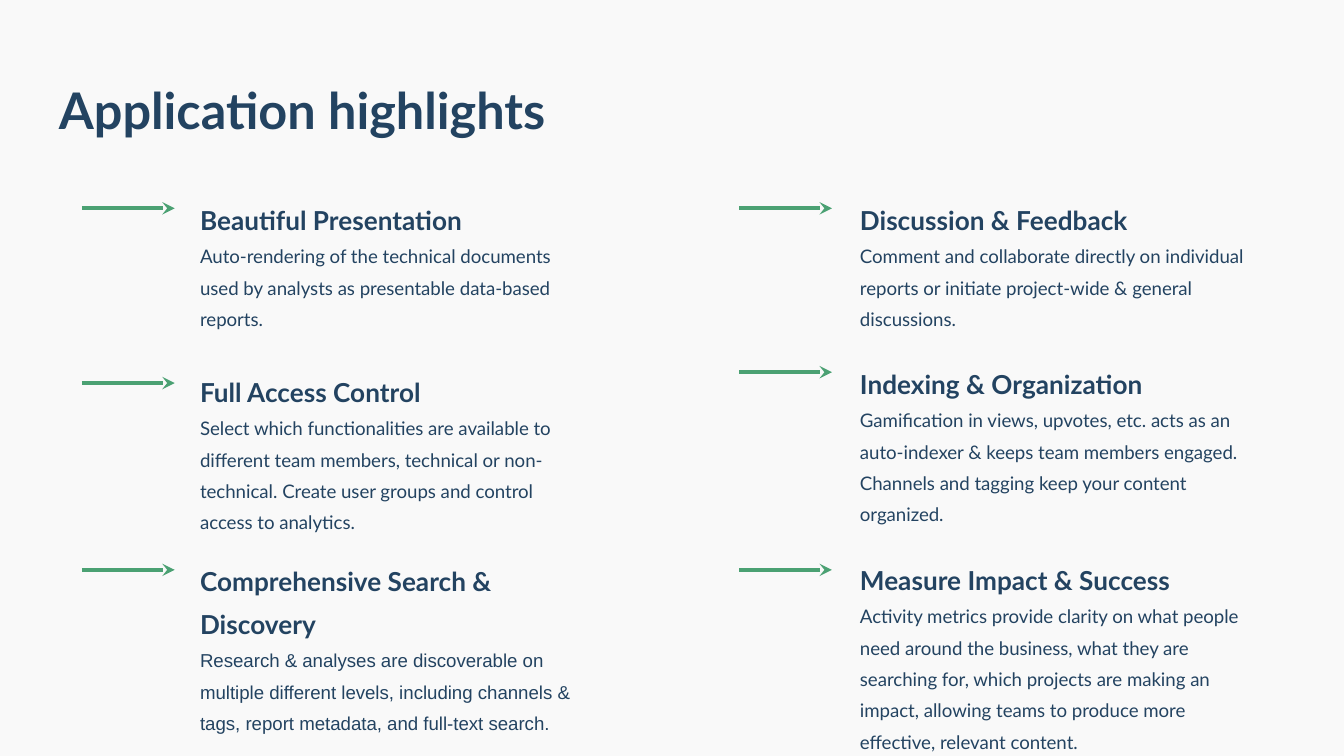
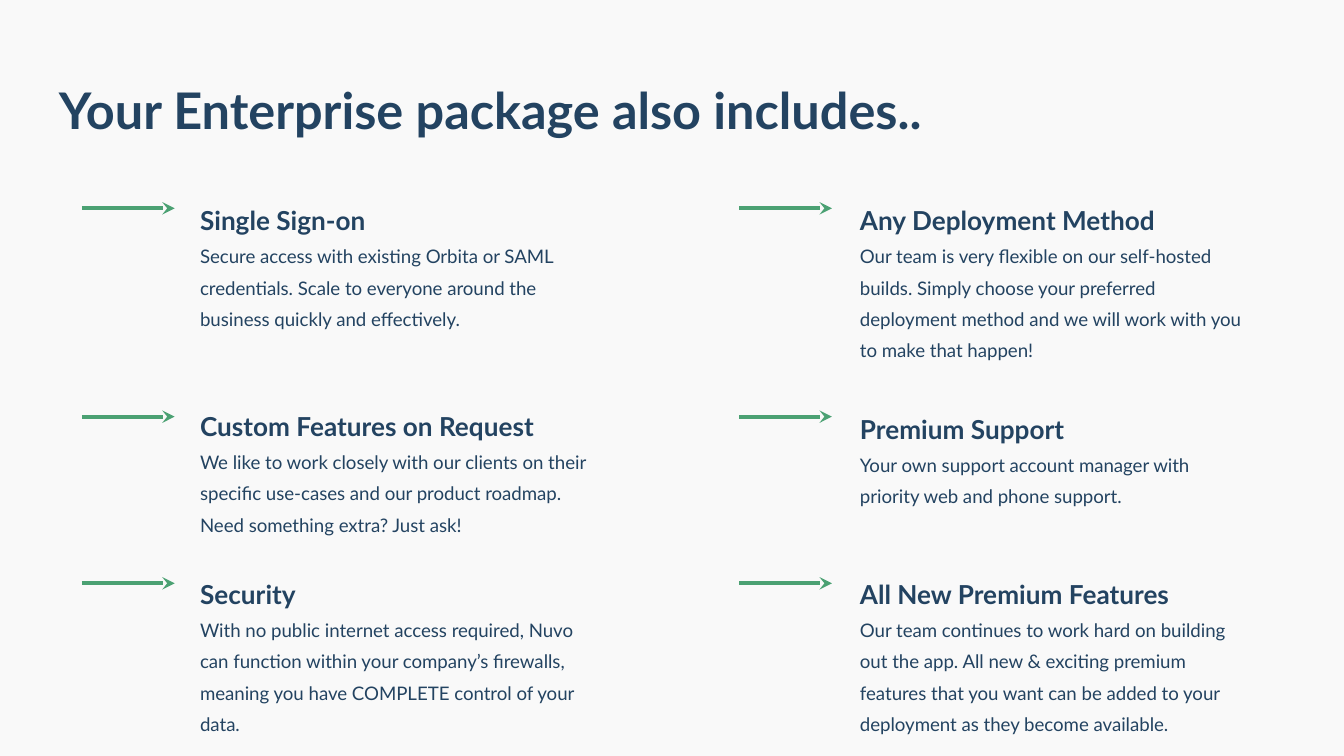
import copy
from dataclasses import dataclass

import lxml.etree
import pptx
import pptx.dml.color
import pptx.enum.shapes
import pptx.enum.text
import pptx.oxml.ns
import pptx.presentation
import pptx.shapes.autoshape
import pptx.slide
import pptx.text.text
import pptx.util

Pt = pptx.util.Pt
qn = pptx.oxml.ns.qn

COLORS = {"background": "F9F9F9", "ink": "234361", "arrow": "4BA173"}
FONT = "Lato"
INSET = 7.2
ARROW_LENGTH = 49.7
TEXT_WIDTH = 222.5
NEW_PARAGRAPH, LINE_BREAK = "\n", "\v"


@dataclass(frozen=True)
class Column:
    arrow_left: float
    text_left: float


LEFT = Column(43.9, 100.1)
RIGHT = Column(396, 453.6)


@dataclass(frozen=True)
class Feature:
    column: Column
    arrow_y: float
    top: float
    height: float
    heading: str
    body: str
    separator: str = NEW_PARAGRAPH
    body_font: str = FONT


@dataclass(frozen=True)
class FeaturePage:
    title: str
    features: tuple[Feature, ...]


PAGES = (
    FeaturePage("Application highlights", (
        Feature(LEFT, 111.6, 95.8, 93.6, "Beautiful Presentation",
                "Auto-rendering of the technical documents used by analysts as "
                "presentable data-based reports.", LINE_BREAK),
        Feature(LEFT, 205.2, 187.9, 97.2, "Full Access Control",
                "Select which functionalities are available to different team members, "
                "technical or non-technical. Create user groups and control access to "
                "analytics."),
        Feature(LEFT, 305.3, 288.7, 97.2, "Comprehensive Search & Discovery",
                "Research & analyses are discoverable on multiple different levels, "
                "including channels & tags, report metadata, and full-text search.",
                body_font="Arial"),
        Feature(RIGHT, 111.6, 95.8, 82.8, "Discussion & Feedback",
                "Comment and collaborate directly on individual reports or initiate "
                "project-wide & general discussions.", LINE_BREAK),
        Feature(RIGHT, 199.4, 183.6, 97.2, "Indexing & Organization",
                "Gamification in views, upvotes, etc. acts as an auto-indexer & keeps "
                "team members engaged. Channels and tagging keep your content "
                "organized.", LINE_BREAK),
        Feature(RIGHT, 305.3, 288.7, 112.3, "Measure Impact & Success",
                "Activity metrics provide clarity on what people need around the "
                "business, what they are searching for, which projects are making an "
                "impact, allowing teams to produce more effective, relevant content."),
    )),
    FeaturePage("Your Enterprise package also includes..", (
        Feature(LEFT, 111.6, 95.8, 93.6, "Single Sign-on",
                "Secure access with existing Orbita or SAML credentials. Scale to "
                "everyone around the business quickly and effectively.", LINE_BREAK),
        Feature(LEFT, 223.2, 205.9, 82.8, "Custom Features on Request",
                "We like to work closely with our clients on their specific use-cases "
                "and our product roadmap. Need something extra? Just ask!"),
        Feature(LEFT, 312.5, 295.9, 95.8, "Security",
                "With no public internet access required, Nuvo can function within your "
                "company’s firewalls, meaning you have COMPLETE control of your data."),
        Feature(RIGHT, 111.6, 95.8, 95.8, "Any Deployment Method",
                "Our team is very flexible on our self-hosted builds. Simply choose "
                "your preferred deployment method and we will work with you to make "
                "that happen!", LINE_BREAK),
        Feature(RIGHT, 223.2, 207.4, 74.2, "Premium Support",
                "Your own support account manager with priority web and phone support.",
                LINE_BREAK),
        Feature(RIGHT, 312.5, 295.9, 95.8, "All New Premium Features",
                "Our team continues to work hard on building out the app. All new & "
                "exciting premium features that you want can be added to your "
                "deployment as they become available."),
    )),
)


def rgb(name: str) -> pptx.dml.color.RGBColor:
    return pptx.dml.color.RGBColor.from_string(COLORS[name])


def add_text_box(page: pptx.slide.Slide, left: float, top: float, width: float,
                 height: float, text: str) -> pptx.shapes.autoshape.Shape:
    box = page.shapes.add_textbox(Pt(left), Pt(top), Pt(width), Pt(height))
    frame = box.text_frame
    frame.word_wrap = True
    frame.vertical_anchor = pptx.enum.text.MSO_ANCHOR.TOP
    frame.margin_left = frame.margin_right = Pt(INSET)
    frame.margin_top = frame.margin_bottom = Pt(INSET)
    frame.text = text
    return box


def format_span(span: pptx.text.text._Run, size: float, bold: bool,
                font: str = FONT) -> None:
    span.font.name = font
    span.font.size = Pt(size)
    span.font.bold = bold
    span.font.color.rgb = rgb("ink")


def add_title(page: pptx.slide.Slide, title: str) -> None:
    box = add_text_box(page, 24.5, 35.3, 671, 45.4, title)
    format_span(box.text_frame.paragraphs[0].runs[0], 27, True)


def add_arrow(page: pptx.slide.Slide, left: float, y: float) -> None:
    arrow = page.shapes.add_connector(
        pptx.enum.shapes.MSO_CONNECTOR.STRAIGHT,
        Pt(left), Pt(y), Pt(left + ARROW_LENGTH), Pt(y))
    arrow.line.color.rgb = rgb("arrow")
    arrow.line.width = Pt(2.25)
    lxml.etree.SubElement(arrow.line._get_or_add_ln(), qn("a:tailEnd"), type="stealth")
    lxml.etree.SubElement(arrow._element.spPr, qn("a:effectLst"))


def add_feature(page: pptx.slide.Slide, feature: Feature) -> None:
    add_arrow(page, feature.column.arrow_left, feature.arrow_y)
    box = add_text_box(page, feature.column.text_left, feature.top, TEXT_WIDTH,
                       feature.height, feature.heading + feature.separator + feature.body)
    paragraphs = box.text_frame.paragraphs
    heading, body = [span for para in paragraphs for span in para.runs]
    format_span(heading, 14, True)
    format_span(body, 10, False, feature.body_font)
    for para in paragraphs:
        para.line_spacing = 1.4
        # A line break needs the heading's size, or it makes its line taller.
        for line_break in para._p.findall(qn("a:br")):
            line_break.append(copy.deepcopy(heading._r.rPr))


def add_page(deck: pptx.presentation.Presentation, content: FeaturePage) -> None:
    page = deck.slides.add_slide(deck.slide_layouts[6])
    page.background.fill.solid()
    page.background.fill.fore_color.rgb = rgb("background")
    add_title(page, content.title)
    for feature in content.features:
        add_feature(page, feature)


def main() -> None:
    deck = pptx.Presentation()
    deck.slide_width, deck.slide_height = Pt(720), Pt(405)
    for content in PAGES:
        add_page(deck, content)
    deck.save("out.pptx")


if __name__ == "__main__":
    main()
